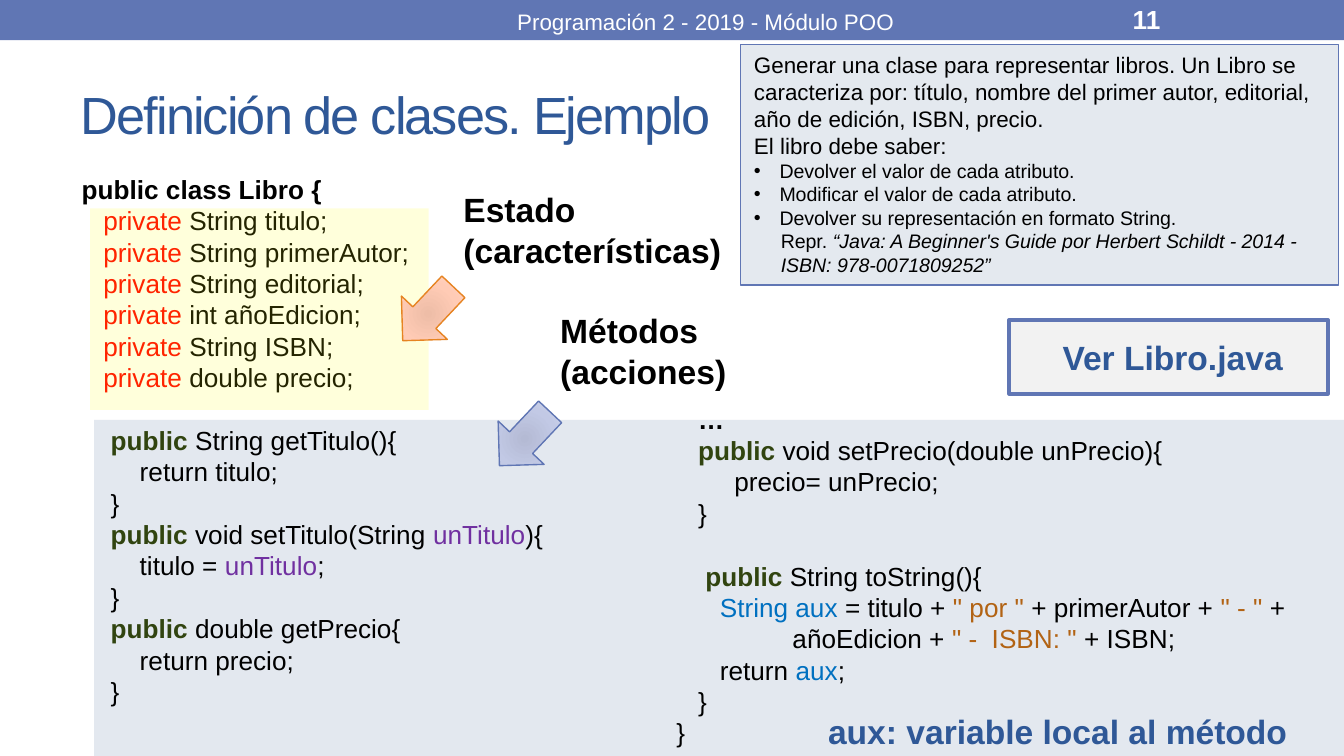
from lxml import etree
from pptx import Presentation, util as u
from pptx.dml.color import RGBColor
from pptx.enum import shapes, text
from pptx.oxml import ns

COLORS = {
    "ink": "000000", "white": "FFFFFF", "blue": "6076B4", "navy": "2F5897",
    "slate": "9BADC4", "pale": "E4E9EF", "grey": "F2F2F2", "yellow": "FFFF00",
    "orange": "E68422", "red": "FF0000", "green": "314410", "purple": "7030A0",
    "cyan": "0070C0", "brown": "B26314",
}
PEACH = [(0, "EEBDA7"), (45, "FFCBB5"), (100, "FFE2D7")]
LILAC = [(0, "B4BAD4"), (45, "C2C9E5"), (100, "DDE1F1")]
COLS, ROWS = 100, 56.25
SPACE = 0.054


class Deck:
    font = "Arial"
    leading = 1.2

    def __init__(self, prs):
        self.prs = prs
        self.s = prs.slides.add_slide(prs.slide_layouts[1])

    def box(self, x, y, w, h):
        cw, rh = self.prs.slide_width / COLS, self.prs.slide_height / ROWS
        return [u.Emu(round(v)) for v in (x * cw, y * rh, w * cw, h * rh)]

    def place(self, sp, at):
        sp.left, sp.top, sp.width, sp.height = self.box(*at)
        return sp

    def child(self, parent, tag, **attrs):
        return etree.SubElement(parent, ns.qn(tag), {k: str(v) for k, v in attrs.items()})

    def frame(self, sp, middle=False):
        tf = sp.text_frame
        tf.word_wrap = True
        tf.auto_size = text.MSO_AUTO_SIZE.NONE
        tf.vertical_anchor = text.MSO_ANCHOR.MIDDLE if middle else text.MSO_ANCHOR.TOP
        return tf

    def paragraph(self, tf, runs, size, align="LEFT", margin=0, bullet=None, before=0):
        p = tf.paragraphs[0]
        if p.runs:
            p = tf.add_paragraph()
        p.alignment = getattr(text.PP_ALIGN, align)
        p.line_spacing = u.Pt(size * self.leading)
        p.space_before = u.Pt(before)
        p.space_after = u.Pt(0)
        pPr = p._p.get_or_add_pPr()
        pPr.set("marL", str(u.Inches(margin)))
        pPr.set("indent", str(u.Inches(-margin if bullet else 0)))
        if bullet:
            self.child(pPr, "a:buChar", char=bullet)
        else:
            self.child(pPr, "a:buNone")
        for words, color, style in runs:
            r = p.add_run()
            r.text = words
            r.font.name, r.font.size = self.font, u.Pt(size)
            r.font.bold, r.font.italic = "b" in style, "i" in style
            r.font.color.rgb = RGBColor.from_string(COLORS[color])
        return p

    def paint(self, sp, fill, line=None, width=0.75, opacity=None):
        sp.fill.solid()
        sp.fill.fore_color.rgb = RGBColor.from_string(COLORS[fill])
        if opacity:
            clr = sp.fill._xPr.find(".//" + ns.qn("a:srgbClr"))
            self.child(clr, "a:alpha", val=opacity * 1000)
        self.outline(sp, line, width)

    def outline(self, sp, line, width=0.75):
        if line:
            sp.line.color.rgb = RGBColor.from_string(COLORS[line])
            sp.line.width = u.Pt(width)
        else:
            sp.line.fill.background()

    def shape(self, at, kind=shapes.MSO_SHAPE.RECTANGLE):
        sp = self.s.shapes.add_shape(kind, *self.box(*at))
        sp.shadow.inherit = False
        return sp

    def panel(self, at, fill, **look):
        sp = self.shape(at)
        self.paint(sp, fill, **look)
        return sp

    def arrow(self, at, stops, line):
        sp = self.shape(at, shapes.MSO_SHAPE.DOWN_ARROW)
        sp.rotation = 43.3
        grad = etree.Element(ns.qn("a:gradFill"), rotWithShape="1")
        gs_list = self.child(grad, "a:gsLst")
        for pos, color in stops:
            gs = self.child(gs_list, "a:gs", pos=pos * 1000)
            self.child(gs, "a:srgbClr", val=color)
        circle = self.child(grad, "a:path", path="circle")
        self.child(circle, "a:fillToRect", **dict.fromkeys("ltrb", 100000))
        sp._element.spPr.find(ns.qn("a:prstGeom")).addnext(grad)
        self.outline(sp, line)

    def title(self, at, words):
        sp = self.place(self.s.shapes.title, at)
        p = self.paragraph(self.frame(sp, True), [(words, "navy", "")], 28)
        p.runs[0].font._element.set("spc", "-100")

    def body(self, at, items):
        sp = self.place(self.s.placeholders[1], at)
        self.paint(sp, "pale", "blue")
        tf = self.frame(sp)
        for size, margin, bullet, runs in items:
            self.paragraph(tf, runs, size, margin=margin, bullet=bullet)

    def label(self, at, words, size=18, color="ink", style="b", align="LEFT", middle=False):
        sp = self.s.shapes.add_textbox(*self.box(*at))
        self.paragraph(self.frame(sp, middle), [(words, color, style)], size, align)

    def button(self, at, words):
        sp = self.panel(at, "grey", line="blue", width=2.08)
        tf = self.frame(sp, True)
        tf.margin_left = u.Inches(0.16)
        self.paragraph(tf, [(words, "navy", "b")], 18, "CENTER")

    def code(self, at, lines, gap_at, size=14):
        tf = self.frame(self.s.shapes.add_textbox(*self.box(*at)))
        for i, (spaces, *runs) in enumerate(lines):
            gap = size * self.leading if i == gap_at else 0
            self.paragraph(tf, runs, size, margin=spaces * SPACE, before=gap)


def ink(words, style=""):
    return words, "ink", style


PUBLIC = ("public", "green", "b")
ARG = ("unTitulo", "purple", "")
FIELDS = ["String titulo;", "String primerAutor;", "String editorial;",
          "int añoEdicion;", "String ISBN;", "double precio;"]
CLASS_CODE = [
    (0, ink("public class Libro {", "b")),
    *[(3, ("private ", "red", ""), ink(field)) for field in FIELDS],
    (4, PUBLIC, ink(" String getTitulo(){")),
    (8, ink("return titulo;")),
    (4, ink("}")),
    (4, PUBLIC, ink(" void setTitulo(String "), ARG, ink("){")),
    (8, ink("titulo = "), ARG, ink(";")),
    (4, ink("}")),
    (4, PUBLIC, ink(" double getPrecio{")),
    (8, ink("return precio;")),
    (4, ink("}")),
]
METHOD_CODE = [
    (4, ink("…", "b")),
    (4, PUBLIC, ink(" void setPrecio(double unPrecio){")),
    (9, ink("precio= unPrecio;")),
    (4, ink("}")),
    (5, PUBLIC, ink(" String toString(){")),
    (7, ("String aux", "cyan", ""), ink(" = titulo + "), ('" por " ', "brown", ""),
     ink("+ primerAutor + "), ('" - " ', "brown", ""), ink("+")),
    (17, ink("añoEdicion + "), ('" -  ISBN: " ', "brown", ""), ink("+ ISBN;")),
    (7, ink("return "), ("aux", "cyan", ""), ink(";")),
    (4, ink("}")),
    (1, ink("}")),
]
TASKS = ["Devolver el valor de cada atributo.", "Modificar el valor de cada atributo.",
         "Devolver su representación en formato String."]
STATEMENT = [
    (12, 0, None, [ink("Generar una clase para representar libros. Un Libro se caracteriza por: "
                       "título, nombre del primer autor, editorial, año de edición, ISBN, precio.")]),
    (12, 0, None, [ink("El libro debe saber:")]),
    *[(10.5, 0.19, "•", [ink(task)]) for task in TASKS],
    (10.5, 0.2, None, [ink("Repr. "),
                       ink("“Java: A Beginner's Guide por Herbert Schildt - 2014 -", "i")]),
    (10.5, 0.2, None, [ink("ISBN: 978-0071809252”", "i")]),
]


def main():
    prs = Presentation()
    prs.slide_width, prs.slide_height = u.Inches(10), u.Inches(5.625)
    d = Deck(prs)
    d.panel((0, 0, COLS, 3), "blue")
    d.panel((7, 31.25, 93, 25), "slate", opacity=27)
    d.title((5, 4.4, 90, 8.1), "Definición de clases. Ejemplo")
    d.label((83.3, 0.1, 11.7, 2.7), "11", 14, "white", middle=True)
    d.code((5.1, 12.4, 50, 41.1), CLASS_CODE, 7)
    d.code((48.8, 29.5, 50.1, 26.7), METHOD_CODE, 4)
    d.body((55.1, 3.3, 44.5, 17.9), STATEMENT)
    d.button((75.1, 23.8, 23.7, 5.5), "Ver Libro.java")
    d.panel((6.7, 15.5, 25.2, 15), "yellow", opacity=14)
    d.arrow((29.5, 20.6, 4.7, 5.5), PEACH, "orange")
    d.label((33.5, 13.6, 21.6, 7.1), "Estado (características)")
    d.arrow((36.7, 29.9, 4.7, 5.5), LILAC, "blue")
    d.label((40.7, 22.6, 21.6, 7.1), "Métodos (acciones)")
    d.label((59.4, 52.4, 38.6, 3.8), "aux: variable local al método", color="navy", align="CENTER")
    d.label((37.5, 0.1, 45, 2.7), "Programación 2 - 2019 - Módulo POO", 12, "white", "")
    prs.save("out.pptx")


if __name__ == "__main__":
    main()
